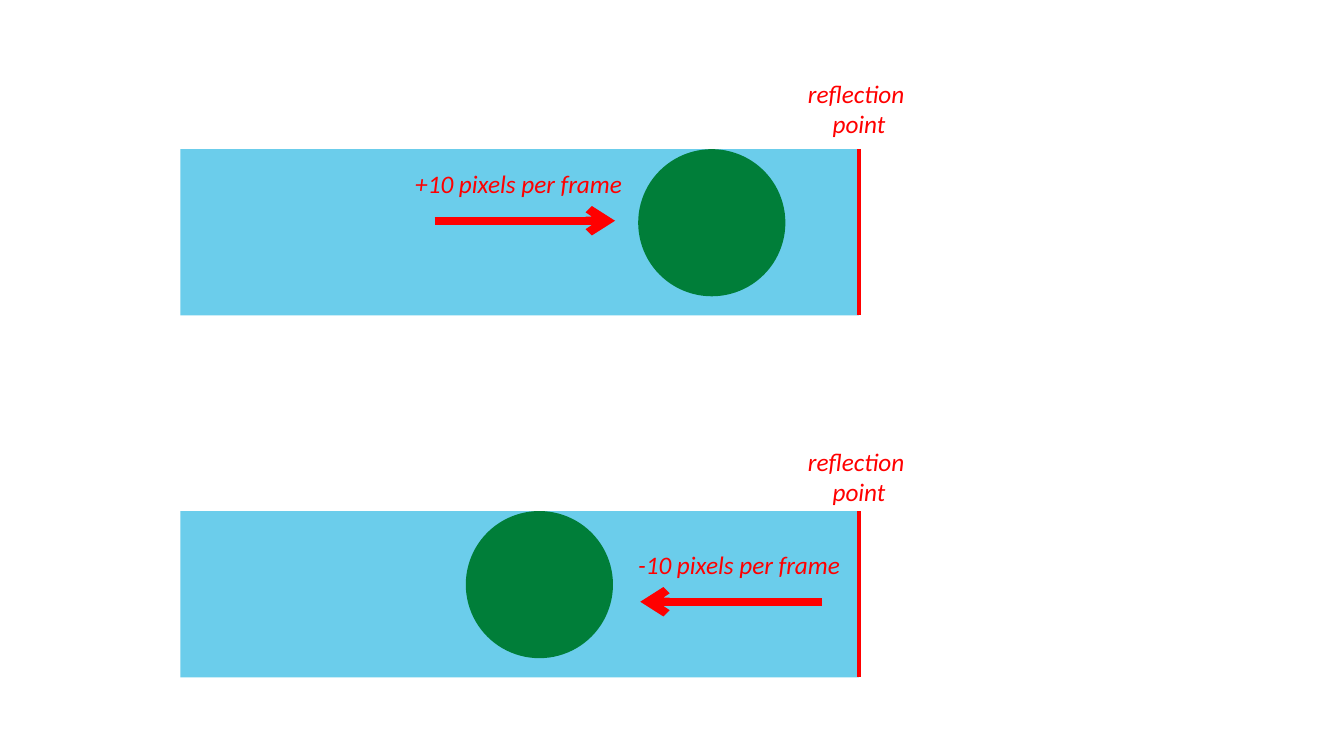
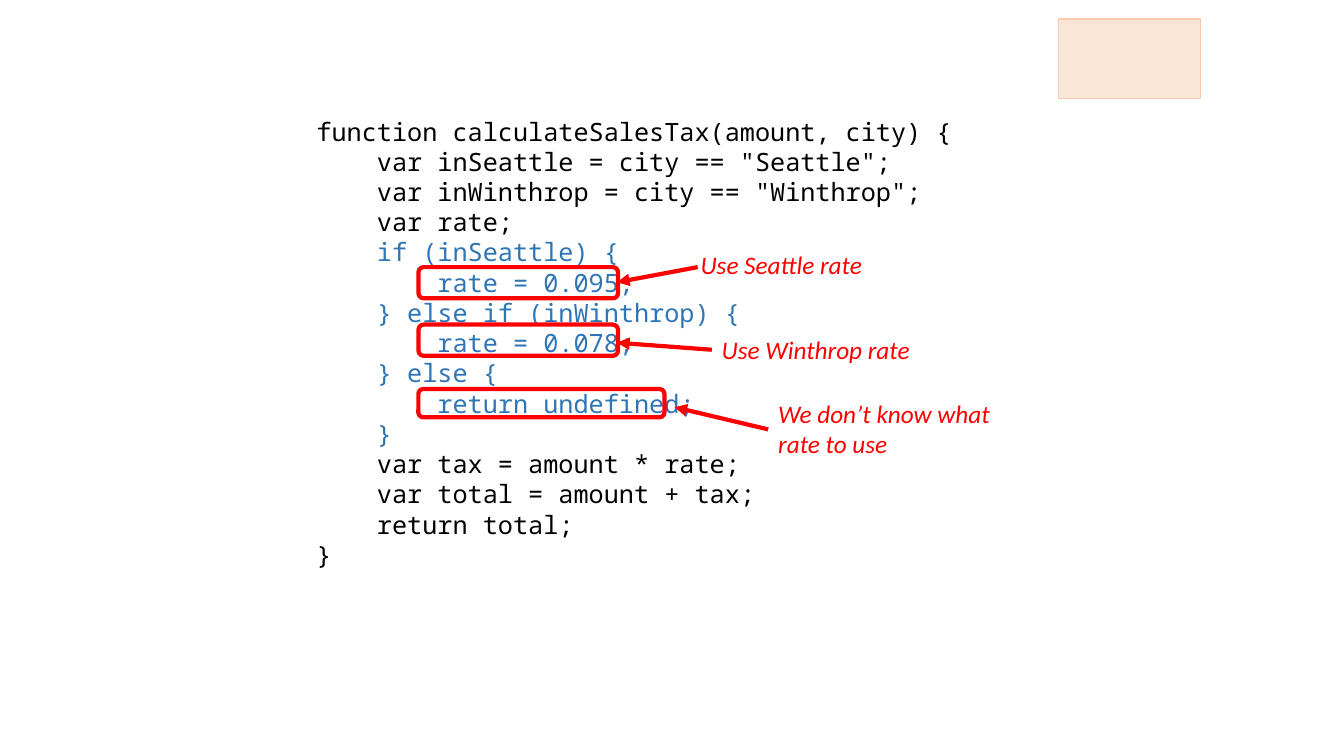
from lxml.etree import SubElement
from pptx import Presentation
from pptx.dml.color import RGBColor
from pptx.enum.shapes import MSO_CONNECTOR as CONNECTOR, MSO_SHAPE as SHAPE
from pptx.enum.text import MSO_AUTO_SIZE as AUTO_SIZE, PP_ALIGN as ALIGN
from pptx.oxml.ns import qn
from pptx.util import Inches, Pt

COLORS = {
    "track": "6BCDEB",
    "ball": "007E39",
    "accent": "FF0000",
    "code": "000000",
    "branch": "2E75B6",
    "tag": "FBE5D6",
    "tag_line": "F8CBAD",
}
LABEL_FONT = {"name": "Calibri", "size": Pt(18), "italic": True}
CODE_FONT = {"name": "Noto Sans Mono", "size": Pt(18)}

TRACK_LEFT, TRACK_WIDTH, TRACK_HEIGHT = 1.79, 6.73, 1.65
BALL_SIZE = 1.46
REFLECTION_X = TRACK_LEFT + TRACK_WIDTH
REFLECTION_LABEL_WIDTH = 2.04

CODE = """function calculateSalesTax(amount, city) {
    var inSeattle = city == "Seattle";
    var inWinthrop = city == "Winthrop";
    var rate;
    if (inSeattle) {
        rate = 0.095;
    } else if (inWinthrop) {
        rate = 0.078;
    } else {
        return undefined;
    }
    var tax = amount * rate;
    var total = amount + tax;
    return total;
}"""
BRANCH_LINES = range(4, 11)


def rgb(name):
    return RGBColor.from_string(COLORS[name])


def add_box(slide, kind, place, fill=None, line=None, line_width=1):
    shape = slide.shapes.add_shape(kind, *map(Inches, place))
    shape.shadow.inherit = False
    if fill:
        shape.fill.solid()
        shape.fill.fore_color.rgb = rgb(fill)
    else:
        shape.fill.background()
    if line:
        shape.line.color.rgb = rgb(line)
        shape.line.width = Pt(line_width)
    else:
        shape.line.fill.background()


def add_line(slide, start, end, width=3, arrowhead=None):
    """Draw an accent line, with an optional arrowhead at its end."""
    connector = slide.shapes.add_connector(
        CONNECTOR.STRAIGHT, *map(Inches, (*start, *end)))
    connector.line.color.rgb = rgb("accent")
    connector.line.width = Pt(width)
    if arrowhead:
        SubElement(connector.line._get_or_add_ln(), qn("a:tailEnd"), type=arrowhead)
    SubElement(connector._element.spPr, qn("a:effectLst"))


def add_text(slide, place, lines, font_format, align=ALIGN.LEFT):
    """Add one paragraph for each (text, colour name) pair."""
    box = slide.shapes.add_textbox(*map(Inches, place))
    frame = box.text_frame
    frame.word_wrap = True
    frame.auto_size = AUTO_SIZE.SHAPE_TO_FIT_TEXT
    for index, (text, color) in enumerate(lines):
        paragraph = frame.add_paragraph() if index else frame.paragraphs[0]
        paragraph.text = text
        paragraph.alignment = align
        for run in paragraph.runs:
            for name, value in font_format.items():
                setattr(run.font, name, value)
            run.font.color.rgb = rgb(color)


def add_label(slide, place, text, align=ALIGN.LEFT):
    add_text(slide, place, [(text, "accent")], LABEL_FONT, align)


def add_track(slide, top, ball_left, arrow, speed_place, speed, label_top):
    """Draw a ball that moves along a track towards or from its right edge."""
    add_box(slide, SHAPE.RECTANGLE,
            (TRACK_LEFT, top, TRACK_WIDTH, TRACK_HEIGHT), "track")
    add_box(slide, SHAPE.OVAL, (ball_left, top, BALL_SIZE, BALL_SIZE), "ball")
    add_line(slide, *arrow, width=6, arrowhead="arrow")
    add_label(slide, speed_place, speed)
    add_line(slide, (REFLECTION_X, top), (REFLECTION_X, top + TRACK_HEIGHT))
    label_left = REFLECTION_X - REFLECTION_LABEL_WIDTH / 2
    add_label(slide, (label_left, label_top, REFLECTION_LABEL_WIDTH, 0.71),
              "reflection \vpoint", ALIGN.CENTER)


def add_callout(slide, frame_place, label_place, text, start, end):
    """Frame a code line and point at it from a label."""
    add_box(slide, SHAPE.ROUNDED_RECTANGLE, frame_place, line="accent", line_width=3)
    add_label(slide, label_place, text)
    add_line(slide, start, end, arrowhead="triangle")


def build_reflection_slide(slide):
    add_track(slide, 1.48, 6.33, ((4.31, 2.19), (6.1, 2.19)),
              (4.02, 1.62, 2.33, 0.4), "+10 pixels per frame", 0.73)
    add_track(slide, 5.07, 4.62, ((8.15, 5.97), (6.35, 5.97)),
              (6.23, 5.4, 2.29, 0.4), "-10 pixels per frame", 4.38)


def build_code_slide(slide):
    lines = [(text, "branch" if index in BRANCH_LINES else "code")
             for index, text in enumerate(CODE.splitlines())]
    add_text(slide, (3.04, 1.1, 7.46, 4.64), lines, CODE_FONT)
    callouts = [
        ((4.15, 2.65, 1.98, 0.31), (6.85, 2.42, 2.67, 0.4),
         "Use Seattle rate", (6.92, 2.65), (6.12, 2.8)),
        ((4.15, 3.22, 1.98, 0.31), (7.06, 3.27, 2.67, 0.4),
         "Use Winthrop rate", (7.06, 3.47), (6.12, 3.4)),
        ((4.15, 3.86, 2.44, 0.28), (7.62, 3.9, 2.67, 0.71),
         "We don’t know what rate to use", (7.62, 4.26), (6.69, 4.04)),
    ]
    for callout in callouts:
        add_callout(slide, *callout)
    add_box(slide, SHAPE.RECTANGLE, (10.5, 0.19, 1.41, 0.79), "tag", "tag_line")


def main():
    presentation = Presentation()
    presentation.slide_width = Inches(13.33)
    presentation.slide_height = Inches(7.5)
    blank = presentation.slide_layouts[6]
    for build in (build_reflection_slide, build_code_slide):
        build(presentation.slides.add_slide(blank))
    presentation.save("out.pptx")


if __name__ == "__main__":
    main()
